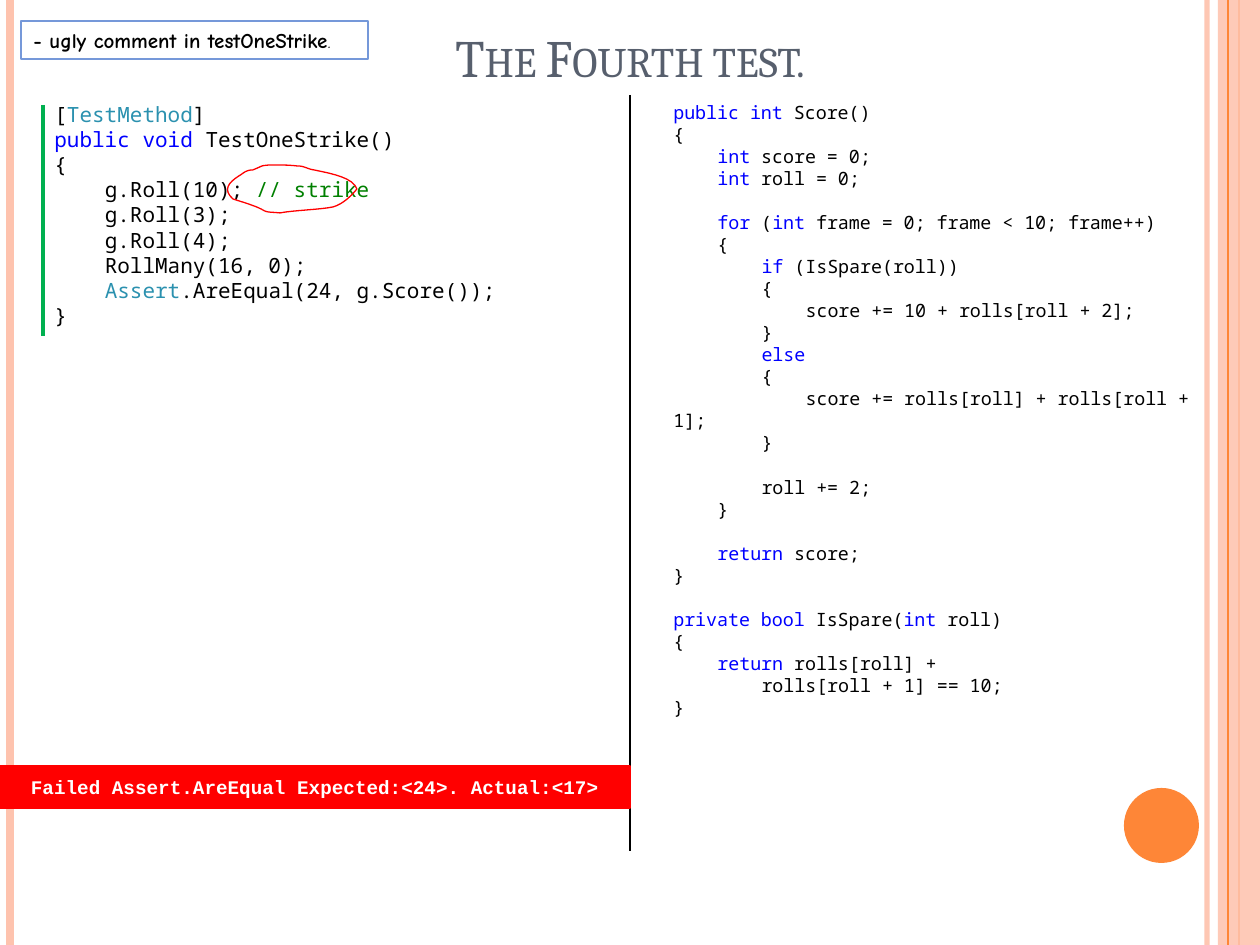
from pptx import Presentation
from pptx.dml.color import RGBColor
from pptx.enum.shapes import MSO_CONNECTOR, MSO_SHAPE
from pptx.enum.text import MSO_ANCHOR, PP_ALIGN
from pptx.oxml.ns import qn
from pptx.util import Emu, Pt
from lxml import etree

RECT, OVAL, STRAIGHT = MSO_SHAPE.RECTANGLE, MSO_SHAPE.OVAL, MSO_CONNECTOR.STRAIGHT
CENTER, LEFT = PP_ALIGN.CENTER, PP_ALIGN.LEFT
TOP, MIDDLE, BOTTOM = MSO_ANCHOR.TOP, MSO_ANCHOR.MIDDLE, MSO_ANCHOR.BOTTOM
SCALE = 914400 / 126
W, H = 1260, 945
COLORS = {
    "black": "000000", "white": "FFFFFF", "title": "575F6D", "pink": "FEC3AE",
    "orange": "FE8637", "blue": "7598D9", "red": "FF0000", "green": "00B050",
    "keyword": "0000FF", "type": "2B91AF", "comment": "008000",
}
TOKENS = {"k": "keyword", "t": "type", "c": "comment"}
TEST_CODE = """[|tTestMethod|]
|kpublic void| TestOneStrike()
{
    g.Roll(10); |c// strike|
    g.Roll(3);
    g.Roll(4);
    RollMany(16, 0);
    |tAssert|.AreEqual(24, g.Score());
}"""
SCORE_CODE = """|kpublic int| Score()
{
    |kint| score = 0;
    |kint| roll = 0;

    |kfor| (|kint| frame = 0; frame < 10; frame++)
    {
        |kif| (IsSpare(roll))
        {
            score += 10 + rolls[roll + 2];
        }
        |kelse|
        {
            score += rolls[roll] + rolls[roll + 1];
        }

        roll += 2;
    }

    |kreturn| score;
}

|kprivate bool| IsSpare(|kint| roll)
{
    |kreturn| rolls[roll] +
        rolls[roll + 1] == 10;
}"""
LOOP = [(134, 24), (130, 29), (121, 39), (110, 42), (95, 45), (73, 45), (57, 48),
        (50, 47), (44, 48), (40, 45), (39, 45), (39, 44), (38, 44), (30, 40),
        (19, 37), (10, 34), (0, 25), (5, 18), (16, 11), (21, 8), (23, 5), (30, 5),
        (42, 0), (37, 1), (47, 0), (55, 0), (66, 0), (74, 1), (82, 1), (84, 4),
        (91, 5), (111, 9), (130, 13), (134, 24)]


def px(n):
    """Turn picture pixels into EMU."""
    return Emu(round(n * SCALE))


def rgb(name):
    """Look up a named colour."""
    return RGBColor.from_string(COLORS[name])


def set_alpha(fill, percent):
    """Make a solid fill partly transparent."""
    color = fill._xPr.find(qn("a:solidFill"))[0]
    etree.SubElement(color, qn("a:alpha")).set("val", str(percent * 1000))


def style(sp, fill=None, line=None, width=0.75):
    """Set fill and outline and drop the shadow."""
    sp.shadow.inherit = False
    for part, color in ((sp.fill, fill), (sp.line.fill, line)):
        if color:
            part.solid()
            part.fore_color.rgb = rgb(color)
        else:
            part.background()
    if line:
        sp.line.width = Pt(width)


def add_shape(s, kind, box, **look):
    """Add a styled preset shape."""
    sp = s.shapes.add_shape(kind, *map(px, box))
    style(sp, **look)
    return sp


def add_rule(s, x, y, height, color, width):
    """Add a vertical line."""
    cx = s.shapes.add_connector(STRAIGHT, px(x), px(y), px(x), px(y + height))
    cx.line.color.rgb = rgb(color)
    cx.line.width = Pt(width)
    etree.SubElement(cx._element.spPr, qn("a:effectLst"))
    return cx


def set_frame(tf, **values):
    """Apply format values to a text frame."""
    for name, value in values.items():
        setattr(tf, name, value)


def add_run(p, text, color, **font):
    """Append a formatted run."""
    r = p.add_run()
    r.text = text
    r.font.color.rgb = rgb(color)
    for name, value in font.items():
        setattr(r.font, name, value)
    return r


def add_border(s, box):
    """Draw the decorative stripes and circle."""
    x, y, w, h = box
    edge = add_rule(s, x + w - 53, y, h, "pink", 3)
    set_alpha(edge.line.fill, 93)
    add_rule(s, x + 10, y, h, "pink", 4.5)
    add_rule(s, x + w - 21, y, h, "orange", 1.5)
    band = add_shape(s, RECT, (x + w - 42, y, 42, h), fill="pink")
    set_alpha(band.fill, 87)
    add_rule(s, x + w - 32, y, h, "orange", 0.75)
    add_shape(s, OVAL, (x + w - 136, y + h - 157, 75, 75), fill="orange")


def add_title(s, box, text):
    """Place and format the title placeholder."""
    sp = s.shapes.title
    sp.left, sp.top, sp.width, sp.height = map(px, box)
    tf = sp.text_frame
    set_frame(tf, vertical_anchor=BOTTOM, word_wrap=True)
    p = tf.paragraphs[0]
    p.alignment = CENTER
    r = add_run(p, text, "title", size=Pt(30), name="Cambria")
    r.font._element.set("cap", "small")


def add_note(s, box):
    """Add the outlined remark."""
    tf = add_shape(s, RECT, box, line="blue").text_frame
    set_frame(tf, vertical_anchor=TOP, word_wrap=True)
    p = tf.paragraphs[0]
    p.alignment = LEFT
    font = {"name": "Comic Neue"}
    add_run(p, "- ugly comment in testOneStrike", "black", size=Pt(12), bold=True, **font)
    add_run(p, ".", "black", size=Pt(10), bold=False, **font)


def add_code(s, box, code, size):
    """Add highlighted code, with first-line indents and paragraph spacing."""
    tf = s.shapes.add_textbox(*map(px, box)).text_frame
    tf.word_wrap = True
    p, gap = tf.paragraphs[0], 0
    for i, line in enumerate(code.split("\n")):
        text = line.lstrip()
        if not text:
            gap = size * 1.2
            continue
        if i:
            p = tf.add_paragraph()
        p.space_before, gap = Pt(gap), 0
        pPr = p._p.get_or_add_pPr()
        pPr.set("marL", "0")
        pPr.set("indent", str(Pt((len(line) - len(text)) * size * 0.6)))
        for j, part in enumerate(text.split("|")):
            color = TOKENS[part[0]] if j % 2 else "black"
            part = part[j % 2:]
            if part:
                add_run(p, part, color, size=Pt(size), name="Noto Sans Mono")


def add_loop(s, x, y, steps=8):
    """Draw the hand-drawn ring from cubic curves."""
    points = []
    for i in range(0, len(LOOP) - 1, 3):
        a, b, c, d = zip(*LOOP[i:i + 4]), 0, 0, 0
        axes = list(a)
        for k in range(1, steps + 1):
            t = k / steps
            weights = ((1 - t) ** 3, 3 * t * (1 - t) ** 2, 3 * t * t * (1 - t), t ** 3)
            points.append(tuple(px(o + sum(u * v for u, v in zip(weights, axis)))
                                for o, axis in zip((x, y), axes)))
    fb = s.shapes.build_freeform(px(x + LOOP[0][0]), px(y + LOOP[0][1]))
    fb.add_line_segments(points, close=True)
    style(fb.convert_to_shape(), line="red")


def add_result(s, box, text):
    """Add the red test result bar."""
    tf = add_shape(s, RECT, box, fill="red", line="red").text_frame
    set_frame(tf, vertical_anchor=MIDDLE, word_wrap=False)
    p = tf.paragraphs[0]
    p.alignment = CENTER
    add_run(p, text, "white", size=Pt(11), name="Courier New", bold=True)


def build():
    """Build the slide and save it."""
    prs = Presentation()
    prs.slide_width, prs.slide_height = px(W), px(H)
    s = prs.slides.add_slide(prs.slide_layouts[5])
    add_border(s, (0, 0, W, H))
    add_title(s, (63, 0, 1134, 94), "The Fourth test.")
    add_note(s, (21, 21, 347, 38))
    add_code(s, (42, 95, 557, 242), TEST_CODE, 12)
    add_loop(s, 223, 165)
    add_rule(s, 43, 105, 231, "green", 2.75)
    add_rule(s, 630, 95, 756, "black", 1)
    add_code(s, (661, 95, 557, 636), SCORE_CODE, 10.5)
    add_result(s, (0, 766, 630, 42), "Failed Assert.AreEqual Expected:<24>. Actual:<17>")
    prs.save("out.pptx")


build()
